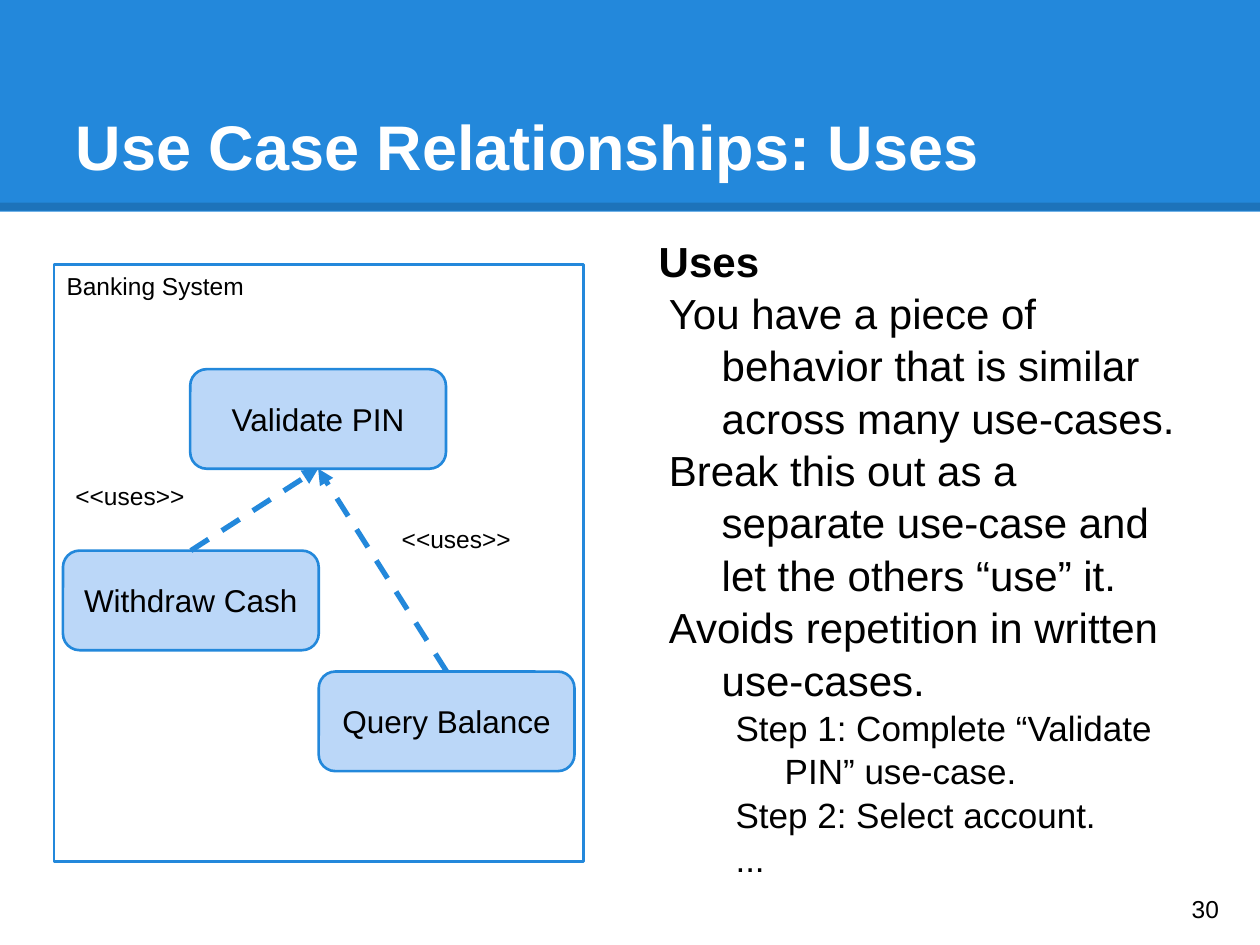
"""Build a slide on the "uses" relationship between use cases."""
from dataclasses import dataclass

from lxml import etree
from pptx import Presentation
from pptx.dml.color import RGBColor
from pptx.enum import dml, shapes, text
from pptx.oxml.ns import qn
from pptx.util import Inches, Pt

BLUE, PALE, WHITE, BLACK = "2388DB", "BBD7F8", "FFFFFF", "000000"
TOP, MID, LOW = text.MSO_ANCHOR.TOP, text.MSO_ANCHOR.MIDDLE, text.MSO_ANCHOR.BOTTOM
LEFT, CENTER = text.PP_ALIGN.LEFT, text.PP_ALIGN.CENTER
RECT, ROUND = shapes.MSO_SHAPE.RECTANGLE, shapes.MSO_SHAPE.ROUNDED_RECTANGLE


@dataclass
class Line:
    """One paragraph with its size and indents."""
    words: str
    size: float
    bold: bool = False
    left: float = 0
    hang: float = 0


@dataclass
class Case:
    """One use case and its place."""
    name: str
    x: float
    y: float


@dataclass
class Label:
    """One small free-standing text."""
    words: str
    x: float
    y: float
    w: float
    h: float
    anchor: text.MSO_ANCHOR = TOP


CASES = [
    Case("Withdraw Cash", 0.5, 4.37),
    Case("Validate PIN", 1.51, 2.93),
    Case("Query Balance", 2.53, 5.33),
]
LABELS = [
    Label("<<uses>>", 3.09, 4.06, 1.3, 0.44),
    Label("<<uses>>", 0.5, 3.72, 1.3, 0.44),
    Label("30", 9.36, 6.93, 0.6, 0.57, MID),
]
POINTS = [
    "You have a piece of behavior that is similar across many use-cases.",
    "Break this out as a separate use-case and let the others “use” it.",
    "Avoids repetition in written use-cases.",
]
STEPS = ["Step 1: Complete “Validate PIN” use-case.", "Step 2: Select account.", "..."]
BODY = (
    [Line("Uses", 24, True)]
    + [Line(p, 24, False, 0.5, -0.42) for p in POINTS]
    + [Line(s, 20, False, 1, -0.39) for s in STEPS]
)


def color(code: str) -> RGBColor:
    """Turn a hex string into a colour."""
    return RGBColor.from_string(code)


def write(shape, lines: list[Line], anchor=TOP, align=LEFT, ink=BLACK,
          top=0.1, space=None) -> None:
    """Fill a shape with paragraphs."""
    frame = shape.text_frame
    frame.word_wrap = True
    frame.auto_size = text.MSO_AUTO_SIZE.NONE
    frame.vertical_anchor = anchor
    frame.margin_left = frame.margin_right = frame.margin_bottom = Inches(0.1)
    frame.margin_top = Inches(top)
    for i, line in enumerate(lines):
        para = frame.add_paragraph() if i else frame.paragraphs[0]
        para.text = line.words
        para.alignment = align
        para.line_spacing = space
        if line.left:
            props = para._p.get_or_add_pPr()
            props.set("marL", str(Inches(line.left)))
            props.set("indent", str(Inches(line.hang)))
        font = para.font
        font.name, font.size, font.bold = "Arial", Pt(line.size), line.bold
        font.color.rgb = color(ink)


def box(slide, kind, x: float, y: float, w: float, h: float, fill: str, edge=None):
    """Draw a filled shape, outlined when an edge colour is given."""
    shape = slide.shapes.add_shape(kind, Inches(x), Inches(y), Inches(w), Inches(h))
    shape.shadow.inherit = False
    shape.fill.solid()
    shape.fill.fore_color.rgb = color(fill)
    if edge:
        shape.line.color.rgb = color(edge)
        shape.line.width = Pt(1.5)
    else:
        shape.line.fill.background()
    return shape


def field(slide, x: float, y: float, w: float, h: float):
    """Add an empty text box."""
    return slide.shapes.add_textbox(Inches(x), Inches(y), Inches(w), Inches(h))


def rule(slide, y: float, ink: str, width: float):
    """Draw a plain line across the slide."""
    line = slide.shapes.add_connector(
        shapes.MSO_CONNECTOR.STRAIGHT, 0, Inches(y), Inches(10), Inches(y))
    line.line.color.rgb = color(ink)
    line.line.width = Pt(width)
    etree.SubElement(line._element.spPr, qn("a:effectLst"))
    return line


def arrow(slide, start, end) -> None:
    """Join the top of one case to the bottom of another."""
    line = rule(slide, 0, BLUE, 3)
    line.begin_connect(start, 0)
    line.end_connect(end, 2)
    line.line.dash_style = dml.MSO_LINE.DASH
    etree.SubElement(line.line._get_or_add_ln(), qn("a:tailEnd"), type="triangle")


def header(slide, words: str) -> None:
    """Draw the title band and put the title on it."""
    box(slide, RECT, 0, 0, 10, 1.68, BLUE)
    line = rule(slide, 1.64, BLACK, 4.5)
    tint = line._element.spPr.find(".//" + qn("a:srgbClr"))
    etree.SubElement(tint, qn("a:alpha"), val="15000")
    title = slide.shapes.title
    title.left, title.top = Inches(0.5), Inches(0.3)
    title.width, title.height = Inches(9), Inches(1.25)
    write(title, [Line(words, 36, True)], LOW, ink=WHITE)
    slide.shapes._spTree.append(title._element)


def main() -> None:
    """Build and save the slide."""
    deck = Presentation()
    deck.slide_width, deck.slide_height = Inches(10), Inches(7.5)
    slide = deck.slides.add_slide(deck.slide_layouts[5])
    header(slide, "Use Case Relationships: Uses")
    write(field(slide, 5.13, 1.75, 4.37, 5.43), BODY, space=1.04)

    system = box(slide, RECT, 0.43, 2.1, 4.2, 4.74, WHITE, BLUE)
    write(system, [Line("Banking System", 14)], top=0.05)
    nodes = {}
    for case in CASES:
        node = box(slide, ROUND, case.x, case.y, 2.03, 0.79, PALE, BLUE)
        write(node, [Line(case.name, 18)], MID, CENTER)
        nodes[case.name] = node
    for name in ("Withdraw Cash", "Query Balance"):
        arrow(slide, nodes[name], nodes["Validate PIN"])
    for label in LABELS:
        spot = field(slide, label.x, label.y, label.w, label.h)
        write(spot, [Line(label.words, 14)], label.anchor)
    deck.save("out.pptx")


if __name__ == "__main__":
    main()
